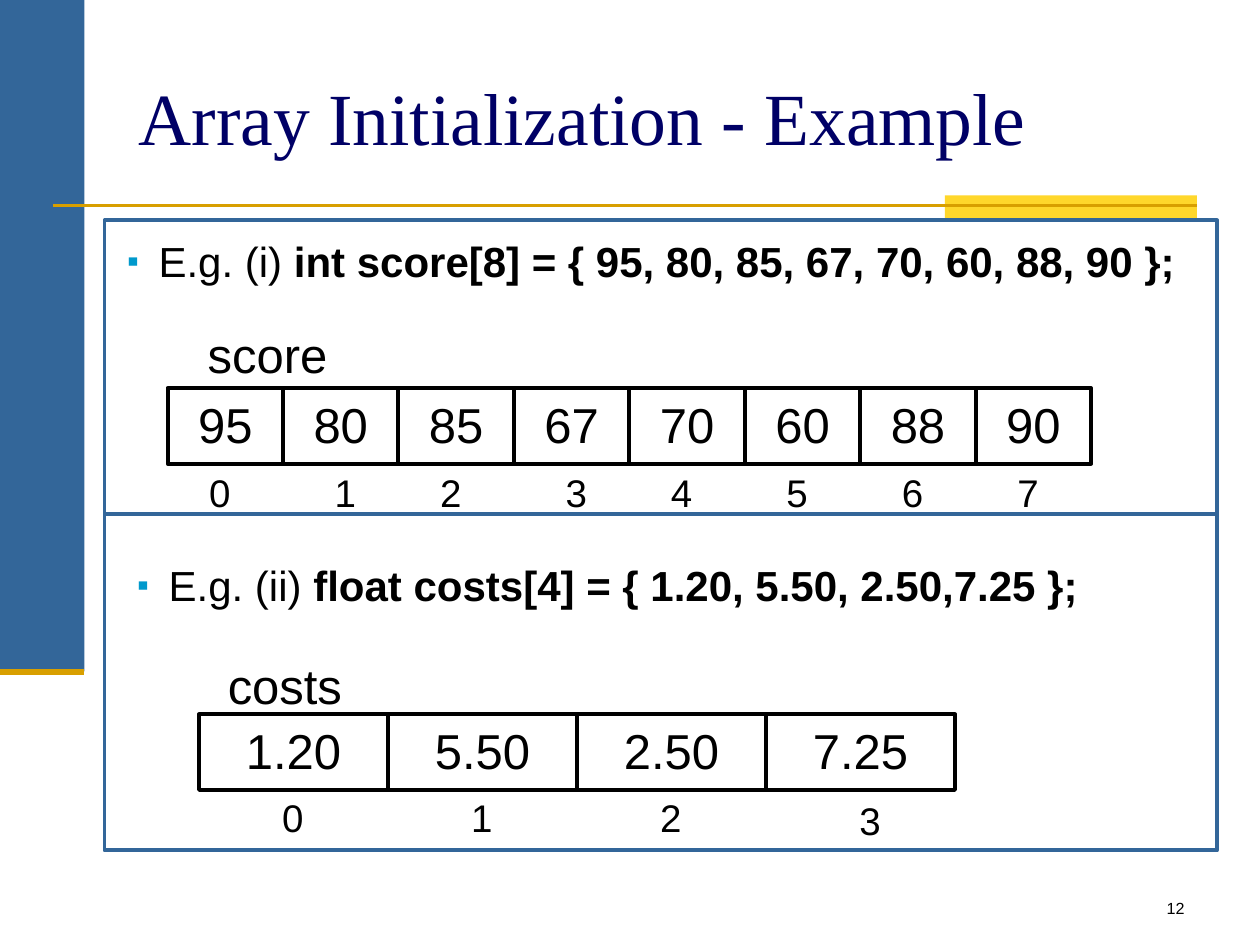
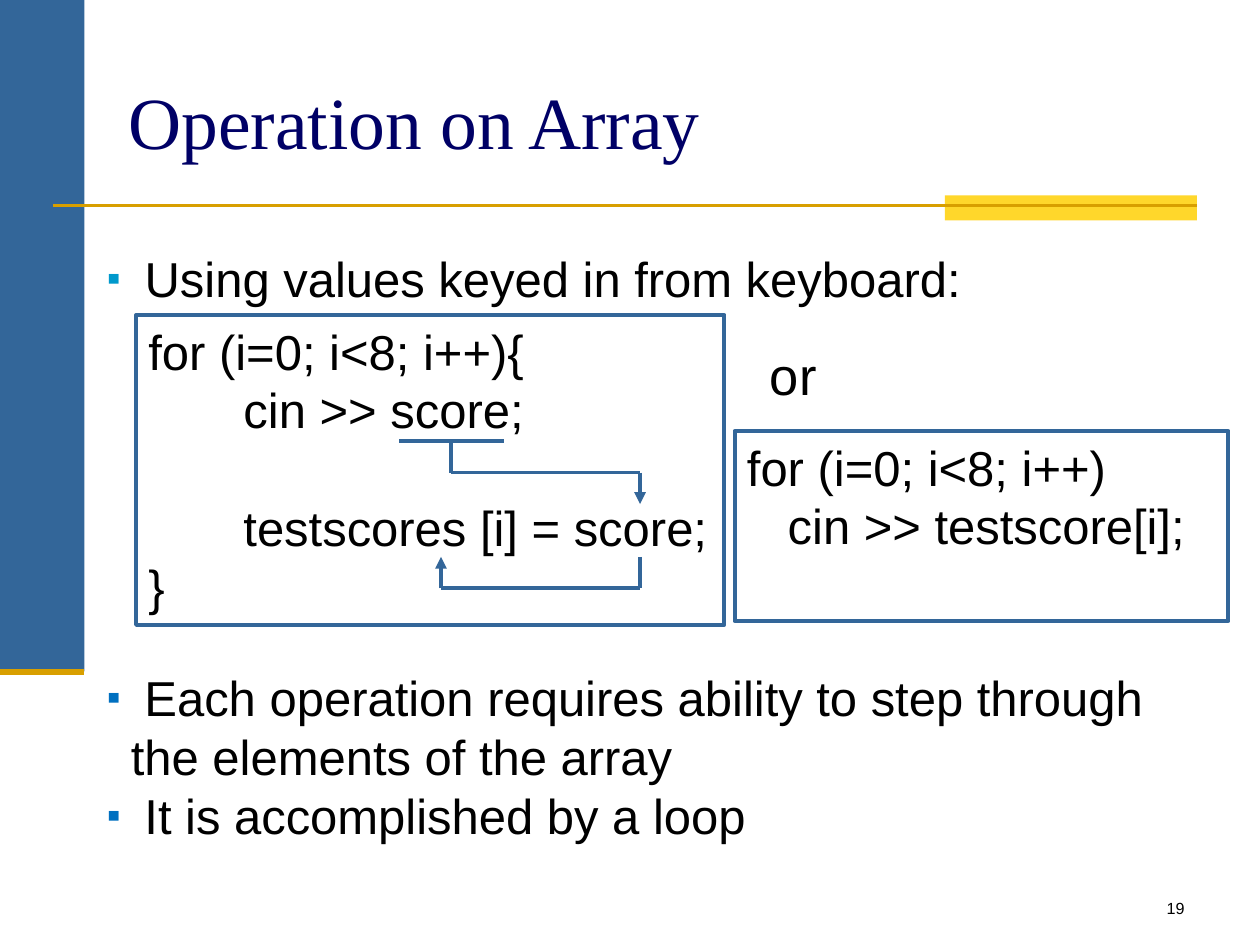
from dataclasses import dataclass, field
from typing import Any, NamedTuple

from lxml import etree
from pptx import Presentation, util as u
from pptx.dml.color import RGBColor
from pptx.enum import shapes as es, text as et
from pptx.oxml import ns

HUES = {
    "band": "336699", "gold": "D89F00", "sun": "FFD72B", "title": "000066",
    "ink": "000000", "mark": "0099CC", "blue": "0070C0",
}
SANS, SERIF = "Arial", "Times New Roman"
LEFT, MID, RIGHT = et.PP_ALIGN.LEFT, et.PP_ALIGN.CENTER, et.PP_ALIGN.RIGHT
FRAME = {
    "word_wrap": True, "auto_size": et.MSO_AUTO_SIZE.NONE,
    "margin_left": u.Inches(0.1), "margin_right": u.Inches(0.1),
    "margin_top": u.Inches(0.05), "margin_bottom": u.Inches(0.05),
}


class Box(NamedTuple):
    left: float
    top: float
    width: float
    height: float


class Line(NamedTuple):
    start: tuple[float, float]
    end: tuple[float, float]
    hue: str = "band"
    width: float = 2.25
    arrow: bool = False


class Run(NamedTuple):
    text: str
    bold: bool = False


@dataclass
class Para:
    runs: list[Run]
    before: float = 0


@dataclass
class Text:
    box: Box
    paras: list[Para]
    size: float = 28
    align: Any = LEFT
    edge: str = ""
    bullet: str = ""
    hang: float = 0


@dataclass
class Array:
    """A row of value cells with index labels below."""
    name: Text
    row: Box
    values: list[str]
    shift: float
    drop: float
    nudges: dict[int, tuple[float, float]] = field(default_factory=dict)


def rgb(hue: str) -> RGBColor:
    return RGBColor.from_string(HUES[hue])


def inches(vals: tuple) -> list[int]:
    return [u.Inches(val) for val in vals]


def put(obj: Any, vals: dict) -> None:
    for key, val in vals.items():
        setattr(obj, key, val)


def plain(text: str, before: float = 0) -> Para:
    return Para([Run(text)], before)


def style(font: Any, size: float, name: str = SANS, hue: str = "ink") -> None:
    put(font, {"size": u.Pt(size), "name": name})
    font.color.rgb = rgb(hue)


def rect(slide: Any, box: Box, fill: str = "", edge: str = "") -> Any:
    shape = slide.shapes.add_shape(es.MSO_SHAPE.RECTANGLE, *inches(box))
    shape.shadow.inherit = False
    if fill:
        shape.fill.solid()
        shape.fill.fore_color.rgb = rgb(fill)
    else:
        shape.fill.background()
    if edge:
        shape.line.color.rgb = rgb(edge)
        shape.line.width = u.Pt(2.25)
    else:
        shape.line.fill.background()
    return shape


def rule(slide: Any, line: Line) -> None:
    link = slide.shapes.add_connector(
        es.MSO_CONNECTOR.STRAIGHT, *inches(line.start + line.end))
    link.line.color.rgb = rgb(line.hue)
    link.line.width = u.Pt(line.width)
    if line.arrow:
        etree.SubElement(link.line._get_or_add_ln(), ns.qn("a:tailEnd"),
                         type="triangle")
    etree.SubElement(link._element.spPr, ns.qn("a:effectLst"))


def mark(para: Any, hue: str, hang: float) -> None:
    """Give a paragraph a square bullet and a hanging indent."""
    props = para._p.get_or_add_pPr()
    gap = u.Inches(hang)
    props.set("marL", str(gap))
    props.set("indent", str(-gap))
    tint = etree.SubElement(props, ns.qn("a:buClr"))
    etree.SubElement(tint, ns.qn("a:srgbClr"), val=HUES[hue])
    etree.SubElement(props, ns.qn("a:buSzPct"), val="80000")
    etree.SubElement(props, ns.qn("a:buFont"), typeface=SANS)
    etree.SubElement(props, ns.qn("a:buChar"), char="▪")


def write(slide: Any, item: Text) -> None:
    if item.edge:
        shape = rect(slide, item.box, edge=item.edge)
    else:
        shape = slide.shapes.add_textbox(*inches(item.box))
    frame = shape.text_frame
    put(frame, FRAME | {"vertical_anchor": et.MSO_ANCHOR.TOP})
    for num, spec in enumerate(item.paras):
        para = frame.add_paragraph() if num else frame.paragraphs[0]
        para.alignment = item.align
        if spec.before:
            para.space_before = u.Pt(spec.before)
        if item.bullet:
            mark(para, item.bullet, item.hang)
        for part in spec.runs:
            run = para.add_run()
            run.text = part.text
            style(run.font, item.size)
            run.font.bold = part.bold


def array(slide: Any, item: Array) -> None:
    write(slide, item.name)
    left, top, total, high = item.row
    wide = total / len(item.values)
    for num, val in enumerate(item.values):
        cell = left + num * wide
        write(slide, Text(Box(cell, top, wide, high), [plain(val)],
                          align=MID, edge="ink"))
        right, down = item.nudges.get(num, (0, 0))
        spot = Box(cell + item.shift + right, top + item.drop + down, 0.83, 0.47)
        write(slide, Text(spot, [plain(str(num))], 22, MID))


def base(deck: Any, title: str, box: Box, page: int) -> Any:
    """Add a slide with the shared bands, title and page number."""
    slide = deck.slides.add_slide(deck.slide_layouts[5])
    rect(slide, Box(0, 0, 0.67, 5.33), "band")
    rect(slide, Box(7.5, 1.55, 2, 0.2), "sun")
    rule(slide, Line((0.42, 1.63), (9.5, 1.63), "gold", 1.5))
    rule(slide, Line((0, 5.33), (0.67, 5.33), "gold", 3.5))
    write(slide, Text(Box(7.42, 7.08, 2.08, 0.25), [plain(str(page))], 9.2, RIGHT))
    head = slide.shapes.title
    put(head, dict(zip(("left", "top", "width", "height"), inches(box))))
    put(head.text_frame, FRAME | {"text": title,
                                  "vertical_anchor": et.MSO_ANCHOR.MIDDLE})
    para = head.text_frame.paragraphs[0]
    para.alignment = LEFT
    style(para.runs[0].font, 42, SERIF, "title")
    return slide


def setup(deck: Any) -> None:
    slide = base(deck, "Array Initialization - Example", Box(1, 0.3, 8.5, 1.25), 12)
    for top, high in ((1.75, 2.33), (4.08, 2.67)):
        rect(slide, Box(0.83, top, 8.83, high), edge="band")
    codes = (
        (Box(0.91, 1.82, 8.59, 0.51), "E.g. (i) ",
         "int score[8] = { 95, 80, 85, 67, 70, 60, 88, 90 };"),
        (Box(0.99, 4.39, 8.28, 0.5), "E.g. (ii) ",
         "float costs[4] = { 1.20, 5.50, 2.50,7.25 };"),
    )
    for box, lead, code in codes:
        write(slide, Text(box, [Para([Run(lead), Run(code, True)])], 24,
                          bullet="mark", hang=0.25))
    array(slide, Array(
        Text(Box(1.55, 2.53, 1.83, 0.6), [plain("score")]),
        Box(1.33, 3.08, 7.33, 0.6),
        ["95", "80", "85", "67", "70", "60", "88", "90"],
        0, 0.59, {1: (0.08, 0), 3: (0.08, 0)}))
    array(slide, Array(
        Text(Box(1.71, 5.15, 1.83, 0.57), [plain("costs")]),
        Box(1.58, 5.67, 6, 0.6), ["1.20", "5.50", "2.50", "7.25"],
        0.33, 0.58, {3: (0.08, 0.03)}))


def usage(deck: Any) -> None:
    slide = base(deck, "Operation on Array", Box(0.92, 0.33, 8.33, 1.25), 19)
    texts = (
        Text(Box(0.75, 1.92, 8.67, 0.57),
             [plain("Using values keyed in from keyboard:")],
             bullet="mark", hang=0.3),
        Text(Box(1.08, 2.5, 4.67, 2.46),
             [plain("for (i=0; i<8; i++){"), plain("       cin >> score;"),
              plain("       testscores [i] = score;", 33.5), plain("}")],
             edge="band"),
        Text(Box(5.92, 2.67, 0.75, 0.6), [plain("or")], 30, MID),
        Text(Box(5.83, 3.42, 3.92, 1.51),
             [plain("for (i=0; i<8; i++)"), plain("   cin >> testscore[i];")],
             edge="band"),
        Text(Box(0.75, 5.25, 8.92, 1.51),
             [plain(" Each operation requires ability to step through "
                    "the elements of the array"),
              plain(" It is accomplished by a loop")],
             bullet="blue", hang=0.19),
    )
    for item in texts:
        write(slide, item)
    flow = (
        Line((3.17, 3.5), (4, 3.5)),
        Line((3.58, 3.5), (3.58, 3.75)),
        Line((3.58, 3.75), (5.08, 3.75)),
        Line((5.08, 3.75), (5.08, 4), arrow=True),
        Line((5.08, 4.42), (5.08, 4.67)),
        Line((3.5, 4.67), (5.08, 4.67)),
        Line((3.5, 4.67), (3.5, 4.42), arrow=True),
    )
    for line in flow:
        rule(slide, line)


def main() -> None:
    deck = Presentation()
    put(deck, {"slide_width": u.Inches(10), "slide_height": u.Inches(7.5)})
    setup(deck)
    usage(deck)
    deck.save("out.pptx")


if __name__ == "__main__":
    main()
